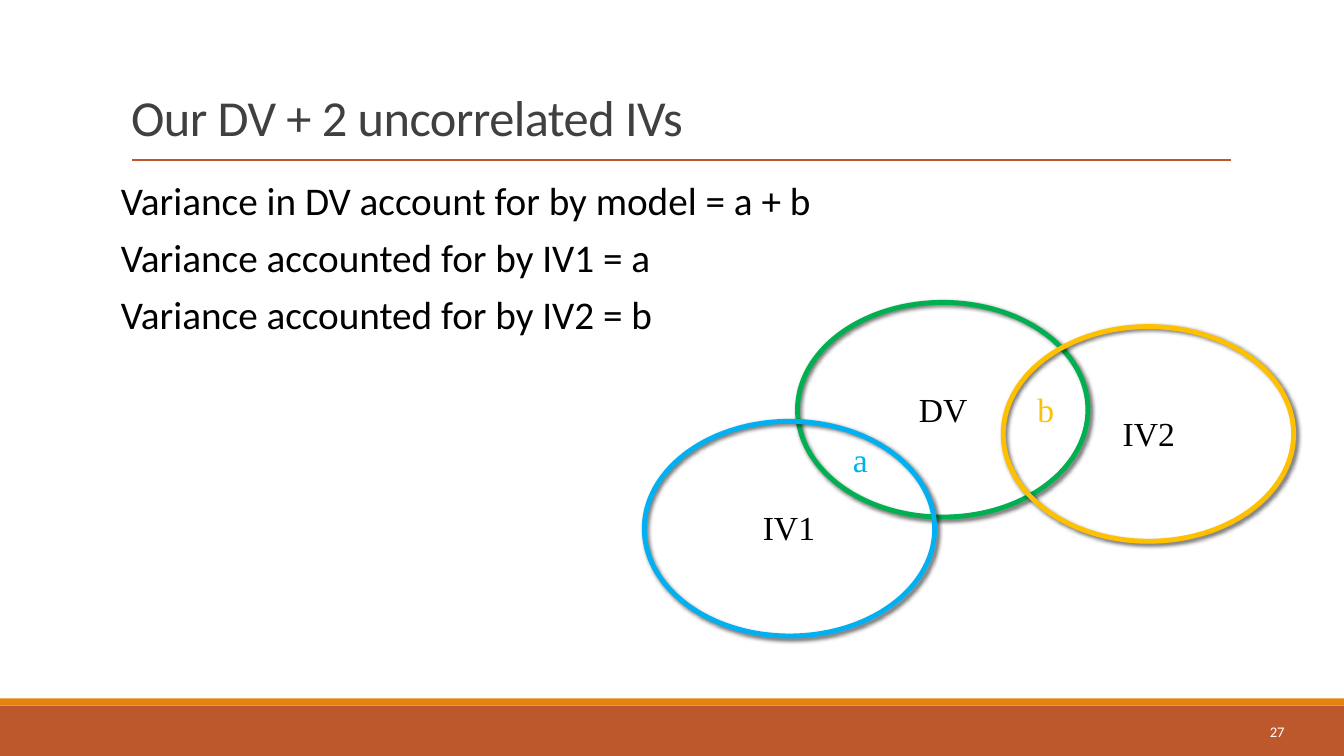
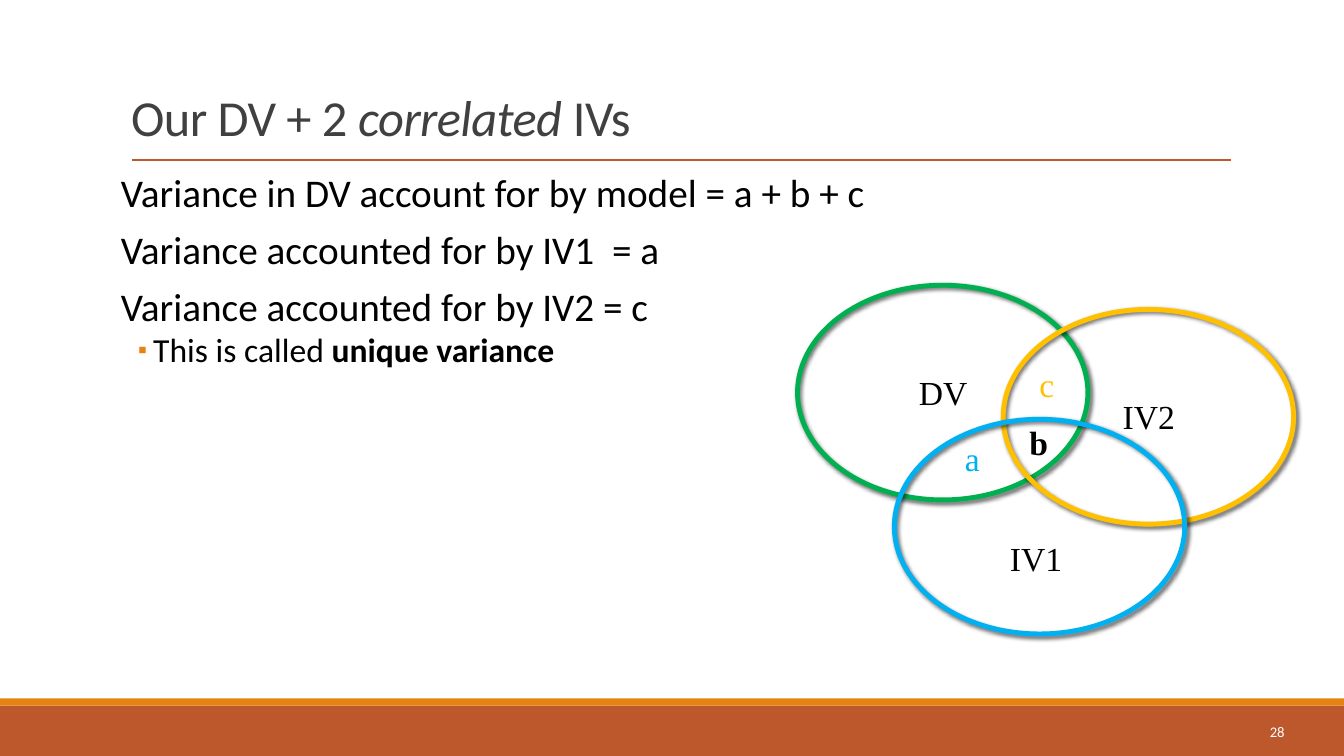
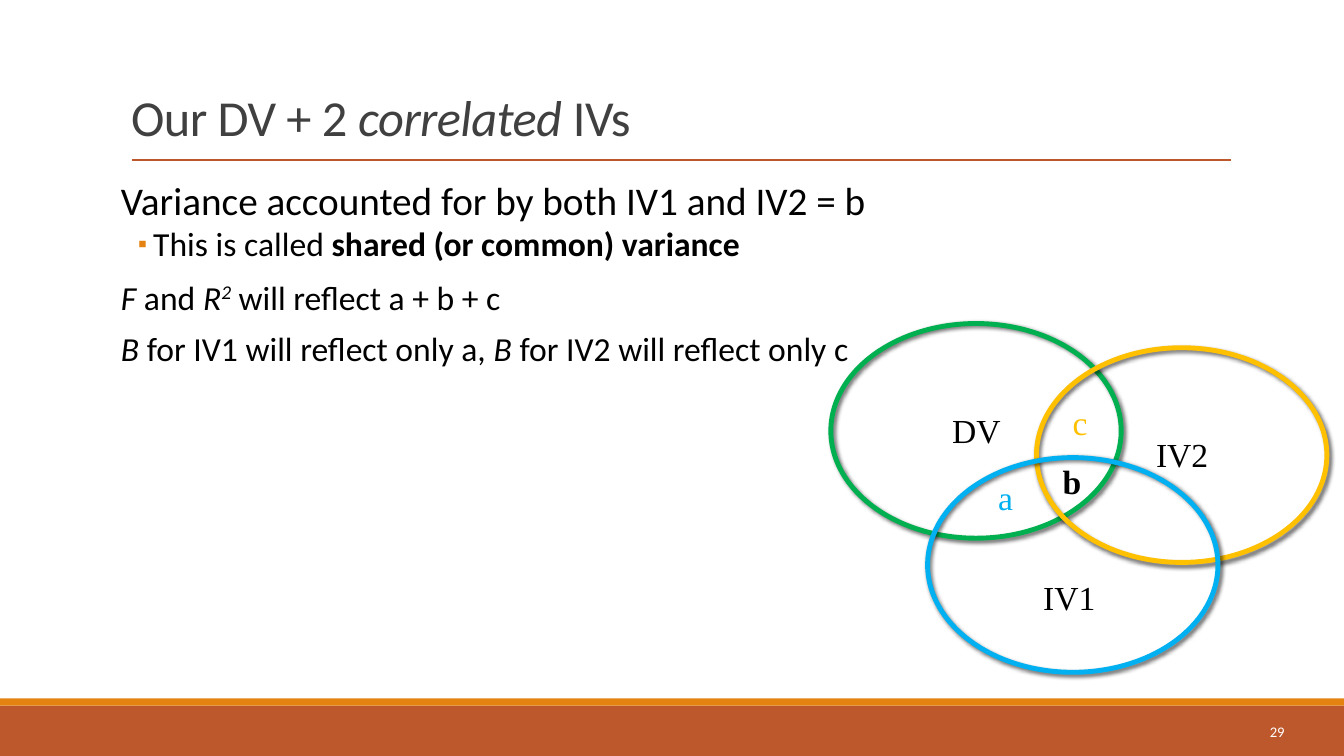
from dataclasses import dataclass

from lxml import etree
from pptx import Presentation
from pptx.dml.color import RGBColor
from pptx.enum.shapes import MSO_CONNECTOR, MSO_SHAPE
from pptx.enum.text import MSO_ANCHOR, MSO_AUTO_SIZE, PP_ALIGN
from pptx.oxml.ns import qn
from pptx.util import Inches, Pt

RECT, OVAL = MSO_SHAPE.RECTANGLE, MSO_SHAPE.OVAL
LINE = MSO_CONNECTOR.STRAIGHT
LEFT, CENTER, RIGHT = PP_ALIGN.LEFT, PP_ALIGN.CENTER, PP_ALIGN.RIGHT
MIDDLE, BOTTOM = MSO_ANCHOR.MIDDLE, MSO_ANCHOR.BOTTOM
FIT, FIXED = MSO_AUTO_SIZE.SHAPE_TO_FIT_TEXT, MSO_AUTO_SIZE.NONE


@dataclass(frozen=True)
class Theme:
    sans: str = "Calibri"
    serif: str = "Times New Roman"
    rust: str = "BD582C"
    orange: str = "E48312"
    gray: str = "404040"
    black: str = "000000"
    white: str = "FFFFFF"
    green: str = "00B050"
    gold: str = "FFC000"
    blue: str = "00B0F0"
    title: float = 36
    body: float = 28
    small: float = 24
    label: float = 24
    number: float = 10.5


T = Theme()


def write(para, runs, size, color, font=T.sans):
    """Add (text, style) runs; style letters: b bold, i italic, s superscript."""
    for text, style in runs:
        run = para.add_run()
        run.text = text
        run.font.size = Pt(size)
        run.font.name = font
        run.font.color.rgb = RGBColor.from_string(color)
        run.font.bold = "b" in style
        run.font.italic = "i" in style
        if "s" in style:
            run.font._element.set("baseline", "30000")


def add_box(shapes, left, top, width, height):
    box = shapes.add_textbox(Inches(left), Inches(top), Inches(width), Inches(height))
    box.text_frame.word_wrap = True
    return box.text_frame


# Each circle: name, colour, circle offset, label offset, all from the DV corner.
DV = ("DV", T.green, (0, 0), (1.06, 0.81))
IV2 = ("IV2", T.gold, (2.04, 0.24), (3.1, 1.05))
APART = (
    [DV, IV2, ("IV1", T.blue, (-1.52, 1.18), (-0.47, 1.98))],
    [("a", "", T.blue, 0.45, 1.31), ("b", "", T.gold, 2.28, 0.81)],
)
CROSSED = (
    [DV, IV2, ("IV1", T.blue, (0.96, 1.33), (1.98, 2.46))],
    [("a", "", T.blue, 1.56, 1.47), ("c", "", T.gold, 2.3, 0.73),
     ("b", "b", T.black, 2.2, 1.31)],
)
RELATED = [("Our DV + 2 ", ""), ("correlated", "i"), (" IVs", "")]

# Each slide: title, body top, body lines (size, bulleted, runs), diagram, its corner.
SLIDES = [
    ([("Our DV + 2 uncorrelated IVs", "")], 1.75, [
        (T.body, False, [("Variance in DV account for by model = a + b", "")]),
        (T.body, False, [("Variance accounted for by IV1 = a", "")]),
        (T.body, False, [("Variance accounted for by IV2 = b", "")]),
    ], APART, (7.91, 3)),
    (RELATED, 1.67, [
        (T.body, False, [("Variance in DV account for by model = a + b + c", "")]),
        (T.body, False, [("Variance accounted for by IV1  = a", "")]),
        (T.body, False, [("Variance accounted for by IV2 = c", "")]),
        (T.small, True, [("This is called ", ""), ("unique variance", "b")]),
    ], CROSSED, (7.91, 2.83)),
    (RELATED, 1.75, [
        (T.body, False, [("Variance accounted for by both IV1 and IV2 = b", "")]),
        (T.small, True, [("This is called ", ""), ("shared (or common) variance", "b")]),
        (T.small, False, [("F", "i"), (" and ", ""), ("R", "i"), ("2", "is"),
                          (" will reflect a + b + c", "")]),
        (T.small, False, [("B", "i"), (" for IV1 will reflect only a, ", ""),
                          ("B", "i"), (" for IV2 will reflect only c", "")]),
    ], CROSSED, (8.24, 3.21)),
]

deck = Presentation()
deck.slide_width, deck.slide_height = Inches(13.33), Inches(7.5)

for number, (title, top, lines, (circles, letters), (x, y)) in enumerate(SLIDES, 27):
    slide = deck.slides.add_slide(deck.slide_layouts[5])
    shapes = slide.shapes

    for band_top, height, color in ((7, 0.5, T.rust), (6.93, 0.07, T.orange)):
        band = shapes.add_shape(RECT, 0, Inches(band_top), deck.slide_width, Inches(height))
        band.shadow.inherit = False
        band.fill.solid()
        band.fill.fore_color.rgb = RGBColor.from_string(color)
        band.line.fill.background()

    rule = shapes.add_connector(LINE, Inches(1.31), Inches(1.59), Inches(12.21), Inches(1.59))
    rule.line.color.rgb = RGBColor.from_string(T.rust)
    rule.line.width = Pt(1.5)
    etree.SubElement(rule._element.spPr, qn("a:effectLst"))

    head = shapes.title
    head.left, head.top = Inches(1.2), Inches(0.31)
    head.width, head.height = Inches(11), Inches(1.2)
    head.text_frame.vertical_anchor = BOTTOM
    head.text_frame.auto_size = FIXED
    para = head.text_frame.paragraphs[0]
    para.alignment = LEFT
    para.line_spacing = 0.85
    write(para, title, T.title, T.gray)
    for run in para.runs:
        run.font._element.set("spc", "-40")

    body = add_box(shapes, 1.2, top, 11, 5.34)
    body.margin_left = body.margin_right = 0
    for i, (size, bullet, runs) in enumerate(lines):
        para = body.add_paragraph() if i else body.paragraphs[0]
        para.line_spacing = 0.9
        para.space_before = Pt(1.5 if bullet else 9)
        para.space_after = Pt(3 if bullet else 1.5)
        write(para, runs, size, T.black)
        if bullet:
            para.level = 1
            props = para._p.get_or_add_pPr()
            props.set("marL", str(Inches(0.32)))
            props.set("indent", str(Inches(-0.15)))
            tint = etree.SubElement(props, qn("a:buClr"))
            etree.SubElement(tint, qn("a:srgbClr"), val=T.orange)
            etree.SubElement(props, qn("a:buSzPct"), val="75000")
            etree.SubElement(props, qn("a:buFont"), typeface=T.sans)
            etree.SubElement(props, qn("a:buChar"), char="▪")

    venn = shapes.add_group_shape().shapes
    labels = list(letters)
    for name, color, (dx, dy), (label_x, label_y) in circles:
        oval = venn.add_shape(OVAL, Inches(x + dx), Inches(y + dy), Inches(2.88), Inches(2.13))
        oval.fill.background()
        oval.line.color.rgb = RGBColor.from_string(color)
        oval.line.width = Pt(3.5)
        oval.shadow.inherit = False
        effects = oval._element.spPr.find(qn("a:effectLst"))
        shade = etree.SubElement(effects, qn("a:outerShdw"), blurRad=str(Pt(3)),
                                 dist=str(Pt(2)), dir="2700000", rotWithShape="0")
        tint = etree.SubElement(shade, qn("a:srgbClr"), val=T.black)
        etree.SubElement(tint, qn("a:alpha"), val="60000")
        labels.append((name, "", T.black, label_x, label_y))

    for text, style, color, dx, dy in labels:
        width = 0.32 if len(text) == 1 else 0.77
        frame = add_box(venn, x + dx, y + dy, width, 0.5)
        frame.auto_size = FIT
        frame.paragraphs[0].alignment = CENTER
        write(frame.paragraphs[0], [(text, style)], T.label, color, T.serif)

    foot = add_box(shapes, 11.41, 7.06, 1.43, 0.4)
    foot.vertical_anchor = MIDDLE
    foot.paragraphs[0].alignment = RIGHT
    write(foot.paragraphs[0], [(str(number), "")], T.number, T.white)

deck.save("out.pptx")
